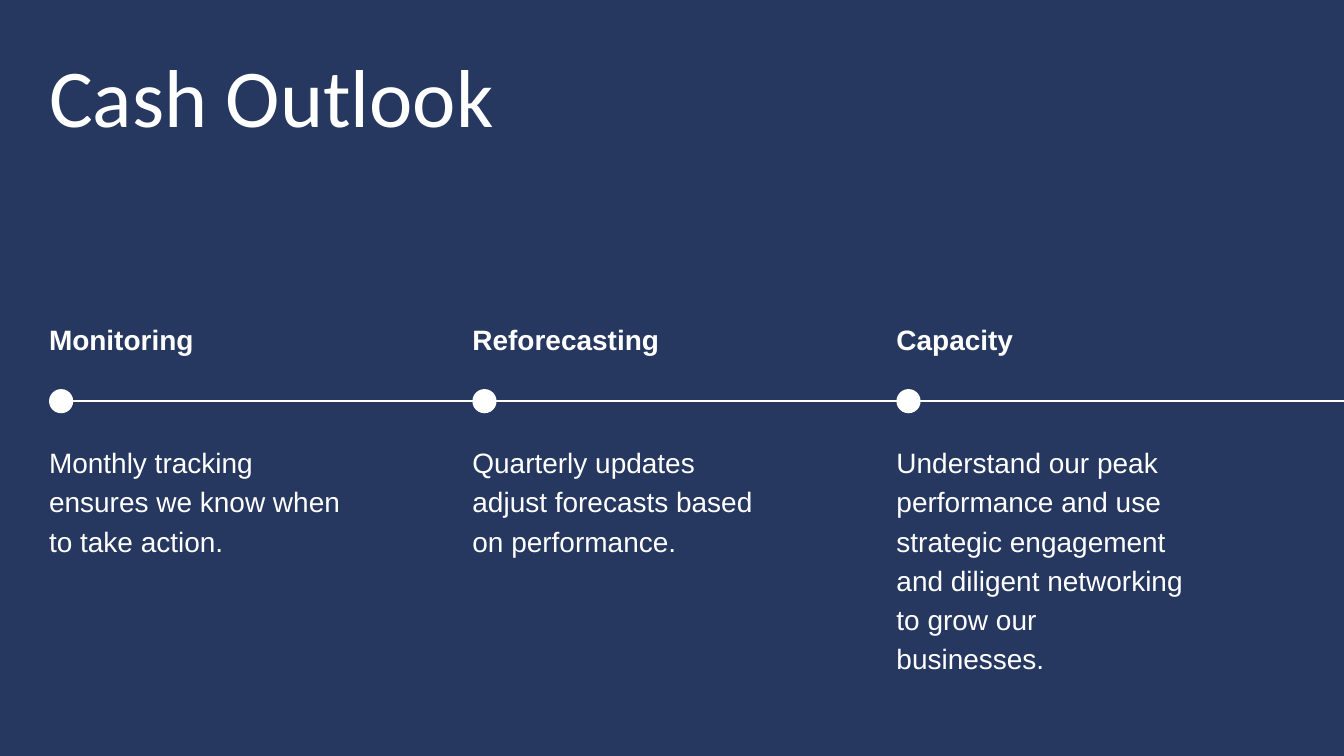
from dataclasses import dataclass

from lxml import etree
from pptx import Presentation
from pptx import util as u
from pptx.dml.color import RGBColor
from pptx.enum import shapes, text
from pptx.oxml.ns import qn

PX = 9144  # EMU in one px, 100 px to the inch


@dataclass(frozen=True)
class Theme:
    background: RGBColor = RGBColor(0x26, 0x38, 0x5F)
    ink: RGBColor = RGBColor(0xFF, 0xFF, 0xFF)
    title_font: str = "Calibri"
    body_font: str = "Arial"
    title_size: int = 88
    body_size: int = 30
    line_width: float = 1.5


THEME = Theme()

STEPS = [
    ("Monitoring", "Monthly tracking ensures we know when to take action."),
    ("Reforecasting", "Quarterly updates adjust forecasts based on performance."),
    ("Capacity", "Understand our peak performance and use strategic engagement "
                 "and diligent networking to grow our businesses."),
]


def px(*lengths):
    return [u.Emu(length * PX) for length in lengths]


def write(box, words, *, size=THEME.body_size, font=THEME.body_font, bold=False, leading):
    frame = box.text_frame
    frame.margin_left = frame.margin_top = frame.margin_right = frame.margin_bottom = 0
    frame.word_wrap = True
    frame.auto_size = text.MSO_AUTO_SIZE.SHAPE_TO_FIT_TEXT
    frame.vertical_anchor = text.MSO_ANCHOR.TOP
    para = frame.paragraphs[0]
    para.alignment = text.PP_ALIGN.LEFT
    para.line_spacing = u.Pt(leading)
    span = para.add_run()
    span.text = words
    span.font.size = u.Pt(size)
    span.font.name = font
    span.font.bold = bold
    span.font.color.rgb = THEME.ink


def add_title(page, words, left, top, width, height):
    box = page.shapes.title
    box.left, box.top, box.width, box.height = px(left, top, width, height)
    write(box, words, size=THEME.title_size, font=THEME.title_font, leading=88)


def add_step(page, heading, detail, left, top):
    """Place a heading, a dot on the line and a description below it."""
    label = page.shapes.add_textbox(*px(left, top, 313, 51))
    write(label, heading, bold=True, leading=36)

    dot = page.shapes.add_shape(shapes.MSO_SHAPE.OVAL, *px(left, top + 99, 36, 36))
    dot.shadow.inherit = False
    dot.fill.solid()
    dot.fill.fore_color.rgb = THEME.ink
    dot.line.fill.background()

    lines = 6 if len(detail) > 60 else 3
    body = page.shapes.add_textbox(*px(left, top + 175, 439, 58 * lines))
    write(body, detail, leading=42)


def add_timeline(page, steps, left, top, right):
    """Run a line to the right edge, with the steps evenly spaced along it."""
    middle = top + 117
    line = page.shapes.add_connector(
        shapes.MSO_CONNECTOR.STRAIGHT, *px(left + 35, middle, right, middle))
    line.line.color.rgb = THEME.ink
    line.line.width = u.Pt(THEME.line_width)
    etree.SubElement(line._element.spPr, qn("a:effectLst"))

    for index, (heading, detail) in enumerate(steps):
        add_step(page, heading, detail, left + index * 1261 // 2, top)


def main():
    deck = Presentation()
    deck.slide_width, deck.slide_height = px(2000, 1125)
    page = deck.slides.add_slide(deck.slide_layouts.get_by_name("Title Only"))
    page.background.fill.solid()
    page.background.fill.fore_color.rgb = THEME.background

    add_title(page, "Cash Outlook", 73, 92, 1540, 128)
    add_timeline(page, STEPS, 73, 480, 2000)
    deck.save("out.pptx")


if __name__ == "__main__":
    main()
